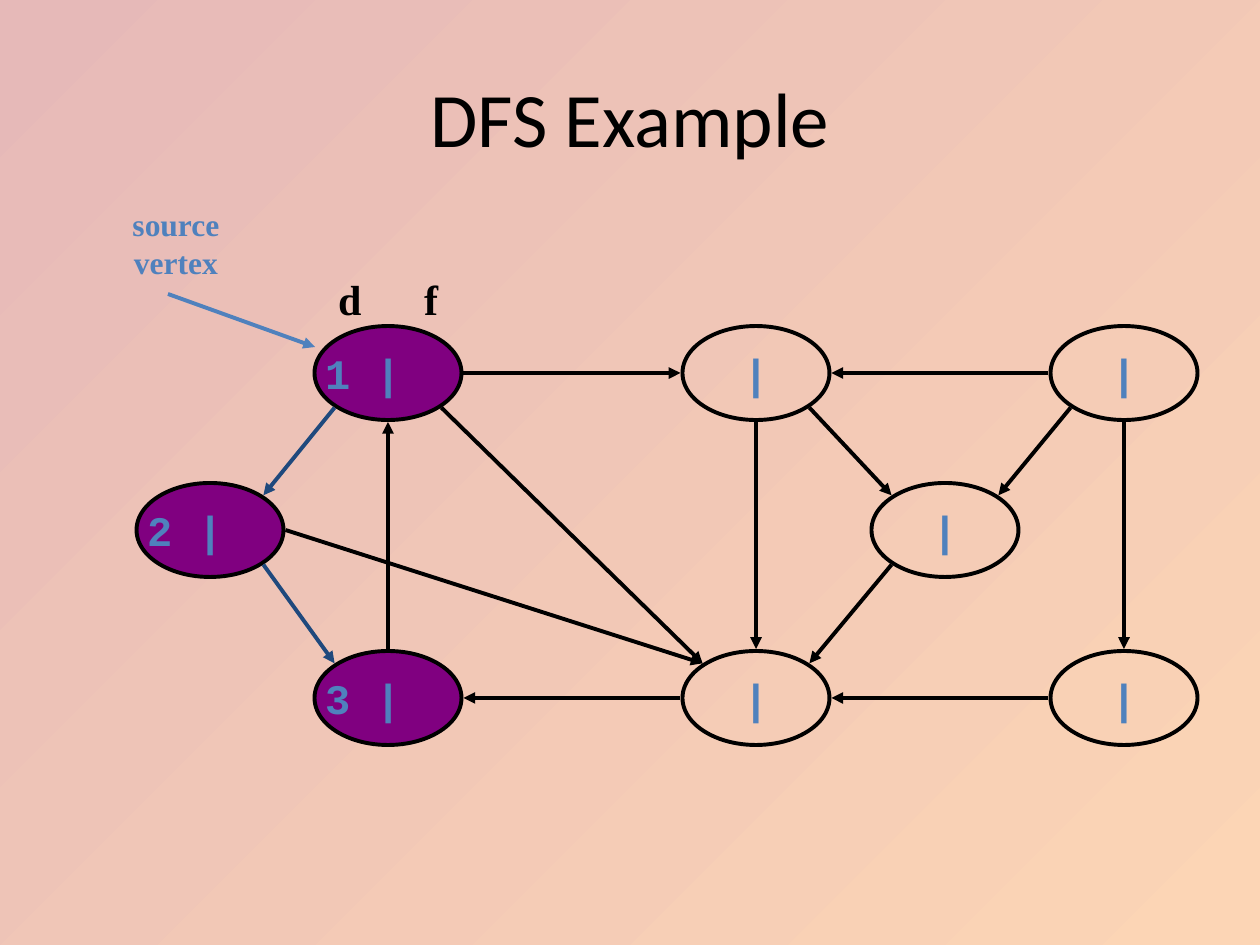
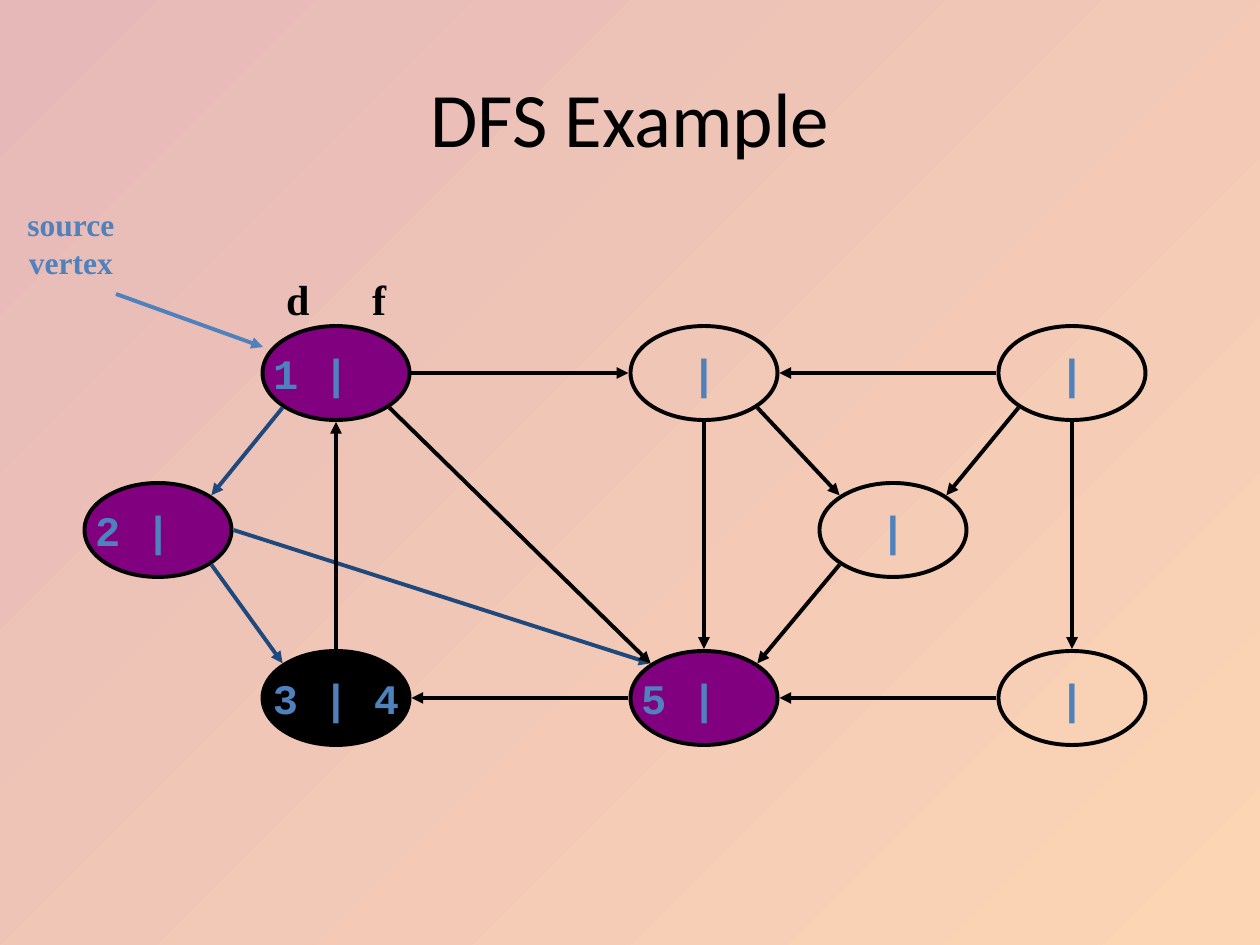
"""Build two steps of a depth-first search walk over one directed graph."""
from math import hypot

from lxml.etree import SubElement
from pptx import Presentation
from pptx.dml.color import RGBColor as Rgb
from pptx.enum.shapes import MSO_CONNECTOR as Link, MSO_SHAPE as Preset
from pptx.enum.text import MSO_ANCHOR as Anchor, PP_ALIGN as Align
from pptx.oxml.ns import qn
from pptx.util import Emu, Pt

THEME = {
    "background": ("E6B9B8", "FCD5B5"),
    "ink": "000000",
    "tree": "1F497D",
    "accent": "4F81BD",
    "states": {"active": "800080", "done": "000000"},
    "line": 2.25,
    "title": {"name": "Calibri", "size": 44, "color": "000000"},
    "node": {"name": "Courier New", "size": 24, "color": "4F81BD", "bold": True},
    "source": {"name": "Times New Roman", "size": 18, "color": "4F81BD", "bold": True},
    "times": {"name": "Times New Roman", "size": 24, "color": "000000", "bold": True},
}

TITLE = "DFS Example"
SOURCE = "source\nvertex"
TIMES = "d\tf"
STEPS = [
    {
        "shift": 0, "source_left": 120,
        "labels": {"s": ("1 |", "active"), "a": ("2 |", "active"), "b": ("3 |", "active")},
        "tree": {"sa", "ab"},
    },
    {
        "shift": -52, "source_left": 15,
        "labels": {"s": ("1 |", "active"), "a": ("2 |", "active"),
                   "b": ("3 | 4", "done"), "c": ("5 |", "active")},
        "tree": {"sa", "ab", "ac"},
    },
]
CENTERS = {
    "s": (388, 373), "t": (756, 373), "u": (1124, 373),
    "v": (1124, 698), "c": (756, 698), "b": (388, 698),
    "a": (210, 530), "w": (945, 530),
}
EDGES = [
    ("sa", "sw", "ne"), ("ab", "se", "nw"), ("ac", "e", "nw"), ("cb", "w", "e"),
    ("bs", "n", "s"), ("sc", "se", "nw"), ("tc", "s", "n"), ("st", "e", "w"),
    ("ut", "w", "e"), ("tw", "se", "nw"), ("uw", "sw", "ne"), ("uv", "s", "n"),
    ("vc", "w", "e"), ("wc", "sw", "ne"),
]
COMPASS = {"n": (0, -1), "s": (0, 1), "e": (1, 0), "w": (-1, 0)}

WIDTH, HEIGHT, PER_INCH = 1260, 945, 126
NODE_W, NODE_H, GAP = 147, 94, 2
MARGIN, CHAR = 13, 25
TITLE_BOX = (63, 38, 1134, 158)
SOURCE_TOP, SOURCE_W, SOURCE_H = 199, 112, 88
SOURCE_ARROW = ((168, 294), (315, 347))
TIMES_BOX = (315, 252, NODE_W, NODE_H)
TIMES_INDENT, TIMES_TAB = 23, 86


def px(length):
    """Turn pixels into EMU."""
    return Emu(round(length * 914400 / PER_INCH))


def write(shape, text, style, align=Align.CENTER, tab=None, **frame_format):
    """Put one styled paragraph into a shape."""
    frame = shape.text_frame
    for name, value in frame_format.items():
        setattr(frame, name, value)
    para = frame.paragraphs[0]
    para.alignment = align
    if tab:
        stops = SubElement(para._p.get_or_add_pPr(), qn("a:tabLst"))
        SubElement(stops, qn("a:tab"), pos=str(px(tab)), algn="l")
    para.text = text
    values = {**style, "size": Pt(style["size"])}
    color = values.pop("color")
    for span in para.runs:
        for name, value in values.items():
            setattr(span.font, name, value)
        span.font.color.rgb = Rgb.from_string(color)


def add_box(page, place, text, style, **options):
    """Add a text box."""
    box = page.shapes.add_textbox(*map(px, place))
    write(box, text, style, **options)


def add_arrow(page, start, end, color):
    """Add a straight arrow."""
    arrow = page.shapes.add_connector(Link.STRAIGHT, *map(px, (*start, *end)))
    arrow.line.color.rgb = Rgb.from_string(color)
    arrow.line.width = Pt(THEME["line"])
    properties = arrow.element.spPr
    SubElement(properties.find(qn("a:ln")), qn("a:tailEnd"), type="triangle")
    SubElement(properties, qn("a:effectLst"))


def add_node(page, center, label, state):
    """Add one vertex, its missing finish time left open on the right."""
    x, y = center
    place = (x - NODE_W / 2, y - NODE_H / 2, NODE_W, NODE_H)
    node = page.shapes.add_shape(Preset.OVAL, *map(px, place))
    node.shadow.inherit = False
    if state:
        node.fill.solid()
        node.fill.fore_color.rgb = Rgb.from_string(THEME["states"][state])
    else:
        node.fill.background()
    node.line.color.rgb = Rgb.from_string(THEME["ink"])
    node.line.width = Pt(THEME["line"])
    open_room = 2 * CHAR if label.endswith("|") and len(label) > 1 else 0
    write(node, label, THEME["node"], word_wrap=False, vertical_anchor=Anchor.MIDDLE,
          margin_left=px(MARGIN), margin_right=px(MARGIN + open_room))


def rim(center, heading):
    """Find the point just outside a vertex in a compass direction."""
    dx, dy = (sum(parts) for parts in zip(*(COMPASS[letter] for letter in heading)))
    length = hypot(dx, dy)
    return (center[0] + dx / length * (NODE_W / 2 + GAP),
            center[1] + dy / length * (NODE_H / 2 + GAP))


def paint_background(page):
    """Fill the page with the diagonal gradient."""
    fill = page.background.fill
    fill.gradient()
    fill.gradient_angle = 315
    for stop, color, position in zip(fill.gradient_stops, THEME["background"], (0, 1)):
        stop.color.rgb = Rgb.from_string(color)
        stop.position = position


def add_step(deck, step):
    """Add one page of the walk."""
    page = deck.slides.add_slide(deck.slide_layouts[6])
    paint_background(page)
    add_box(page, TITLE_BOX, TITLE, THEME["title"],
            word_wrap=True, vertical_anchor=Anchor.MIDDLE)
    shift = step["shift"]
    centers = {name: (x + shift, y) for name, (x, y) in CENTERS.items()}
    for name, center in centers.items():
        add_node(page, center, *step["labels"].get(name, ("|", None)))
    for edge, leave, enter in EDGES:
        color = THEME["tree" if edge in step["tree"] else "ink"]
        add_arrow(page, rim(centers[edge[0]], leave), rim(centers[edge[1]], enter), color)
    start, end = ((x + shift, y) for x, y in SOURCE_ARROW)
    add_arrow(page, start, end, THEME["accent"])
    add_box(page, (step["source_left"], SOURCE_TOP, SOURCE_W, SOURCE_H), SOURCE,
            THEME["source"], word_wrap=False)
    left, *rest = TIMES_BOX
    add_box(page, (left + shift, *rest), TIMES, THEME["times"], align=Align.LEFT,
            tab=TIMES_TAB, word_wrap=True, vertical_anchor=Anchor.MIDDLE,
            margin_left=px(TIMES_INDENT), margin_right=0)


def main():
    """Build and save the deck."""
    deck = Presentation()
    deck.slide_width, deck.slide_height = px(WIDTH), px(HEIGHT)
    for step in STEPS:
        add_step(deck, step)
    deck.save("out.pptx")


if __name__ == "__main__":
    main()
